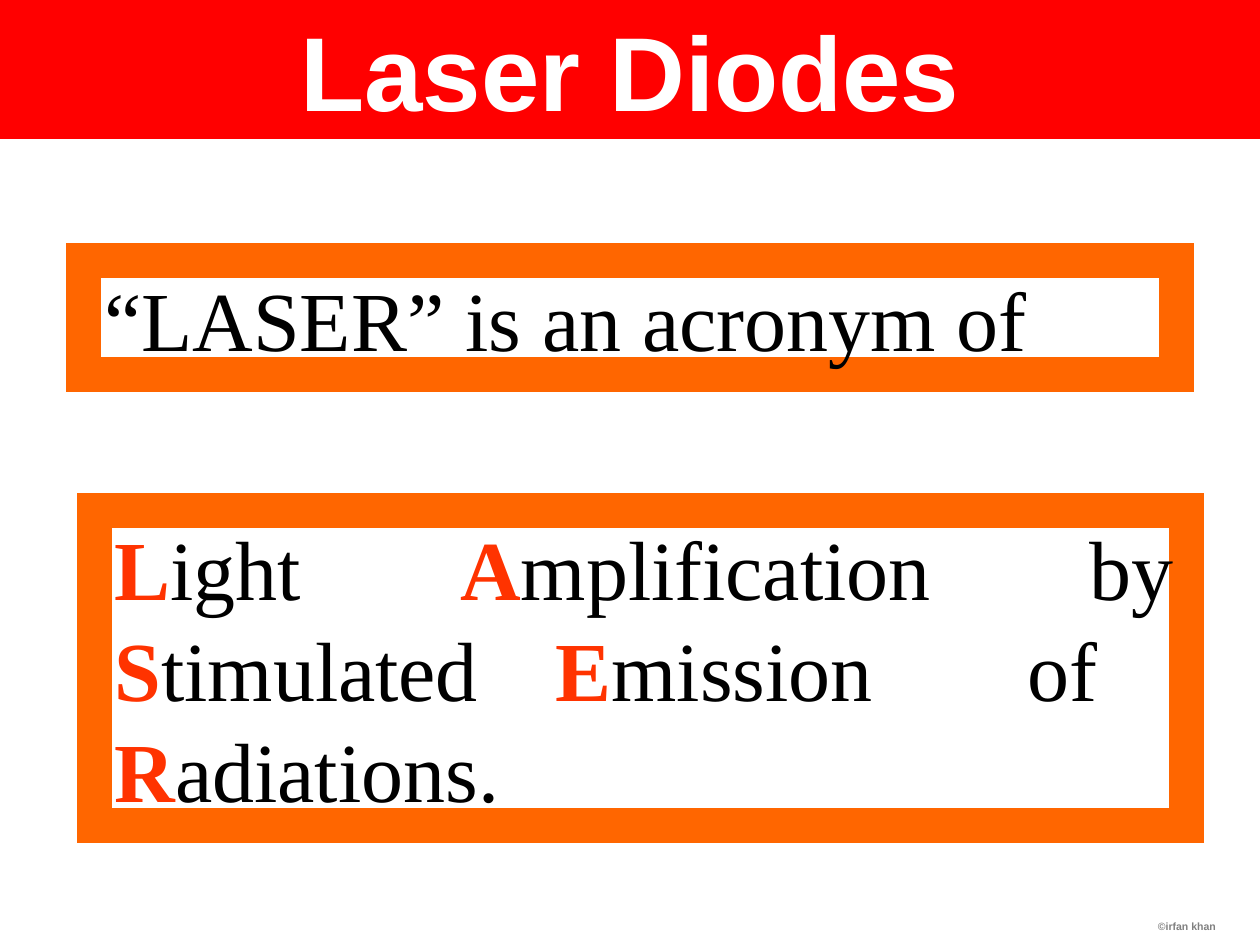
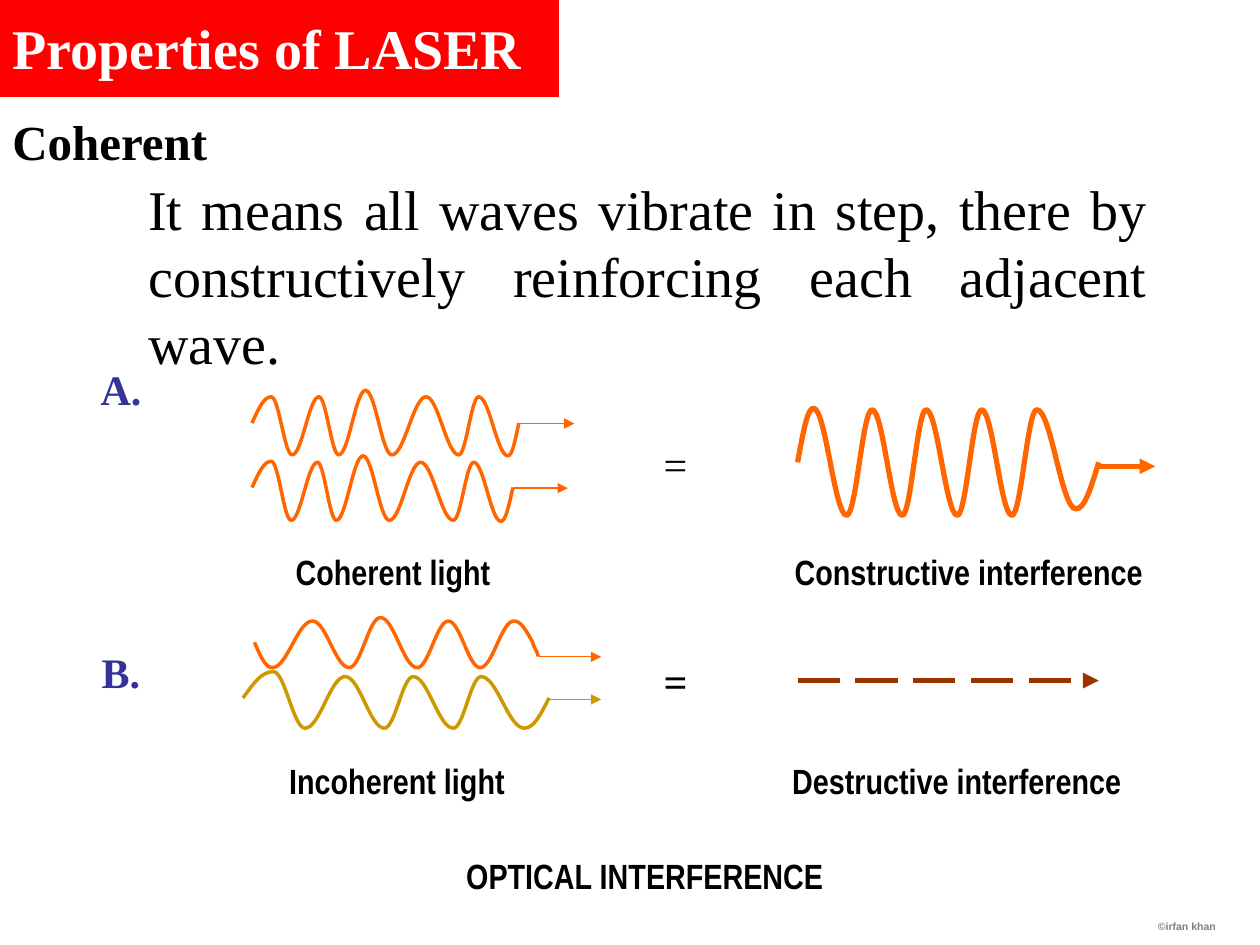
import pptx
import pptx.util
import pptx.dml.color
import pptx.enum.dml
import pptx.enum.shapes
import pptx.enum.text
import pptx.oxml.ns
from lxml import etree

Cm, Pt = pptx.util.Cm, pptx.util.Pt
ALIGN = pptx.enum.text.PP_ALIGN
ANCHOR = pptx.enum.text.MSO_ANCHOR

RED, ORANGE, ACCENT, GOLD = "FF0000", "FF6600", "FF3300", "CC9900"
BROWN, NAVY, GREY, BLACK, WHITE = "993300", "333399", "808080", "000000", "FFFFFF"
SERIF, SANS, NARROW = "Times New Roman", "Arial", "Arial Narrow"

# Boxes are left, top, width, height in cm; text between stars is accented.
FOOTER = ("©irfan khan", (16.71, 17.15, 8.05, 1.78))

FRAMES = [
    ("“LASER” is an acronym of", (1.69, 5.26, 22.02, 2.29), ()),
    ("*L*ight *A*mplification by *S*timulated\t*E*mission\tof *R*adiations.",
     (1.9, 10.29, 22.02, 6.35), (8.89, 18.4)),
]

MARK = dict(size=24, bold=True, color=NAVY, align=ALIGN.CENTER)
LABEL = dict(size=20, bold=True, font=NARROW, wrap=False)
TEXTS = [
    ("Coherent", (0, 1.9, 6.15, 1.9),
     dict(size=28, bold=True, anchor=ANCHOR.MIDDLE)),
    ("It means all waves vibrate in step, there by constructively "
     "reinforcing each adjacent wave.", (2.74, 3.38, 20.65, 4.32),
     dict(size=32, align=ALIGN.JUSTIFY)),
    ("A.", (1.07, 7.19, 2.74, 1.27), MARK),
    ("B.", (1.07, 12.9, 2.74, 1.27), MARK),
    ("=", (13.13, 8.71, 1.65, 1.27), dict(size=24)),
    ("=", (13.13, 13.08, 1.04, 1.27), dict(size=24, bold=True)),
    ("Coherent light", (5.71, 10.97, 4.42, 1.12), LABEL),
    ("Constructive interference", (15.77, 10.97, 7.52, 1.12), LABEL),
    ("Incoherent light", (5.58, 15.19, 5, 1.12), LABEL),
    ("Destructive interference", (15.72, 15.19, 7.14, 1.12), LABEL),
    ("OPTICAL INTERFERENCE", (7.83, 17.09, 10.34, 1.12),
     dict(size=20, bold=True, font=NARROW, align=ALIGN.CENTER)),
]

# Each wave: colour, line width, x and y of its start, turning points and end.
WAVES = [
    (ORANGE, 2,
     [5.08, 5.47, 5.89, 6.43, 6.83, 7.37, 7.9, 8.59, 9.25, 9.65, 10.24, 10.46],
     [8.53, 8, 9.17, 8, 9.17, 7.87, 9.17, 8, 9.17, 8, 9.19, 8.53]),
    (ORANGE, 2,
     [5.08, 5.47, 5.87, 6.4, 6.78, 7.32, 7.85, 8.48, 9.14, 9.55, 10.1, 10.34],
     [9.83, 9.3, 10.49, 9.32, 10.49, 9.19, 10.49, 9.32, 10.49, 9.32, 10.51, 9.83]),
    (GOLD, 2,
     [4.9, 5.51, 6.15, 6.96, 7.75, 8.33, 9.14, 9.7, 10.57, 11.07],
     [14.07, 13.54, 14.68, 13.64, 14.68, 13.64, 14.68, 13.64, 14.68, 14.07]),
    (ORANGE, 2,
     [5.13, 5.49, 6.3, 7.04, 7.67, 8.41, 9.04, 9.68, 10.36, 10.74],
     [12.95, 13.46, 12.52, 13.46, 12.45, 13.46, 12.52, 13.46, 12.52, 12.95]),
    (ORANGE, 2, [10.74, 10.85], [12.95, 13.23]),
    (ORANGE, 3,
     [16.08, 16.4, 17.07, 17.58, 18.19, 18.67, 19.3, 19.79, 20.4, 20.9, 21.69, 22.15],
     [9.32, 8.23, 10.39, 8.26, 10.39, 8.26, 10.39, 8.26, 10.39, 8.26, 10.26, 9.32]),
]

# Each arrow: colour, line width, left, right, y, dashed.
ARROWS = [
    (ORANGE, 0.75, 10.46, 11.58, 8.54, False),
    (ORANGE, 0.75, 10.34, 11.45, 9.84, False),
    (ORANGE, 0.75, 10.85, 12.12, 13.24, False),
    (GOLD, 0.75, 11.07, 12.12, 14.1, False),
    (ORANGE, 3, 22.15, 23.29, 9.4, False),
    (BROWN, 3, 16.08, 22.15, 13.72, True),
]


def rgb(code):
    return pptx.dml.color.RGBColor.from_string(code)


def add_tag(parent, name, **attrs):
    return etree.SubElement(parent, pptx.oxml.ns.qn(name), attrs)


def stroke(line, color, width):
    line.color.rgb = rgb(color)
    line.width = Pt(width)


def miter(line):
    add_tag(line._get_or_add_ln(), "a:miter", lim="800000")


def write(shape, text, size=24, font=SERIF, color=BLACK, bold=False,
          align=ALIGN.LEFT, anchor=ANCHOR.TOP, wrap=True, left=0.25, tabs=()):
    frame = shape.text_frame
    frame.auto_size = pptx.enum.text.MSO_AUTO_SIZE.NONE
    frame.word_wrap = wrap
    frame.vertical_anchor = anchor
    frame.margin_left, frame.margin_right = Cm(left), Cm(0.25)
    frame.margin_top = frame.margin_bottom = Cm(0.13)
    para = frame.paragraphs[0]
    para.alignment = align
    if tabs:
        stops = add_tag(para._p.get_or_add_pPr(), "a:tabLst")
        for stop in tabs:
            add_tag(stops, "a:tab", pos=str(Cm(stop)), algn="l")
    for i, part in enumerate(text.split("*")):
        if part:
            run = para.add_run()
            run.text = part
            run.font.name, run.font.size = font, Pt(size)
            run.font.bold = bold or i % 2 == 1
            run.font.color.rgb = rgb(ACCENT if i % 2 else color)


def add_text(slide, text, box, **style):
    write(slide.shapes.add_textbox(*map(Cm, box)), text, **style)


def add_slide(deck, title, box, **style):
    """Start a slide with its red title band and footer."""
    slide = deck.slides.add_slide(deck.slide_layouts[5])
    band = slide.shapes.title
    band.left, band.top, band.width, band.height = map(Cm, box)
    band.fill.solid()
    band.fill.fore_color.rgb = rgb(RED)
    write(band, title, color=WHITE, bold=True, **style)
    text, place = FOOTER
    add_text(slide, text, place, size=6, font=SANS, color=GREY, bold=True,
             align=ALIGN.RIGHT, anchor=ANCHOR.BOTTOM)
    return slide


def add_frame(slide, text, box, tabs):
    shape = slide.shapes.add_shape(
        pptx.enum.shapes.MSO_SHAPE.RECTANGLE, *map(Cm, box))
    shape.shadow.inherit = False
    shape.fill.background()
    stroke(shape.line, ORANGE, 20)
    miter(shape.line)
    write(shape, text, size=48, align=ALIGN.JUSTIFY, left=0.41, tabs=tabs)


def bend(wave):
    """Turn the straight steps of a wave into curves, level at each turn."""
    steps = list(wave._element.iter(pptx.oxml.ns.qn("a:lnTo")))
    start = next(wave._element.iter(pptx.oxml.ns.qn("a:moveTo")))
    spots = [(int(step[0].get("x")), int(step[0].get("y")))
             for step in [start] + steps]
    for i, step in enumerate(steps):
        (x0, y0), (x1, y1) = spots[i:i + 2]
        dx, dy = x1 - x0, y1 - y0
        rise = 0.6 * dy if i == 0 else 0
        fall = 0.6 * dy if i == len(steps) - 1 else 0
        curve = etree.Element(pptx.oxml.ns.qn("a:cubicBezTo"))
        for x, y in [(x0 + 0.37 * dx, y0 + rise),
                     (x1 - 0.37 * dx, y1 - fall), (x1, y1)]:
            add_tag(curve, "a:pt", x=str(round(x)), y=str(round(y)))
        step.getparent().replace(step, curve)


def add_wave(slide, color, width, xs, ys):
    first, *rest = [(Cm(x), Cm(y)) for x, y in zip(xs, ys)]
    pen = slide.shapes.build_freeform(*first)
    pen.add_line_segments(rest, close=False)
    wave = pen.convert_to_shape()
    bend(wave)
    wave.shadow.inherit = False
    wave.fill.background()
    stroke(wave.line, color, width)


def add_arrow(slide, color, width, left, right, y, dashed):
    arrow = slide.shapes.add_connector(
        pptx.enum.shapes.MSO_CONNECTOR.STRAIGHT, Cm(left), Cm(y), Cm(right), Cm(y))
    stroke(arrow.line, color, width)
    if dashed:
        arrow.line.dash_style = pptx.enum.dml.MSO_LINE.LONG_DASH
    add_tag(arrow.line._get_or_add_ln(), "a:tailEnd", type="triangle")
    add_tag(arrow._element.spPr, "a:effectLst")


def main():
    deck = pptx.Presentation()
    deck.slide_width, deck.slide_height = Cm(25.4), Cm(19.05)

    slide = add_slide(deck, "Laser Diodes", (0, 0, 25.4, 2.8),
                      size=60, font=SANS, align=ALIGN.CENTER)
    for frame in FRAMES:
        add_frame(slide, *frame)

    slide = add_slide(deck, "Properties of LASER", (0, 0, 11.22, 1.9),
                      size=32, anchor=ANCHOR.MIDDLE)
    stroke(slide.shapes.title.line, RED, 3)
    miter(slide.shapes.title.line)
    for text, box, style in TEXTS:
        add_text(slide, text, box, **style)
    for wave in WAVES:
        add_wave(slide, *wave)
    for arrow in ARROWS:
        add_arrow(slide, *arrow)

    deck.save("out.pptx")


if __name__ == "__main__":
    main()
